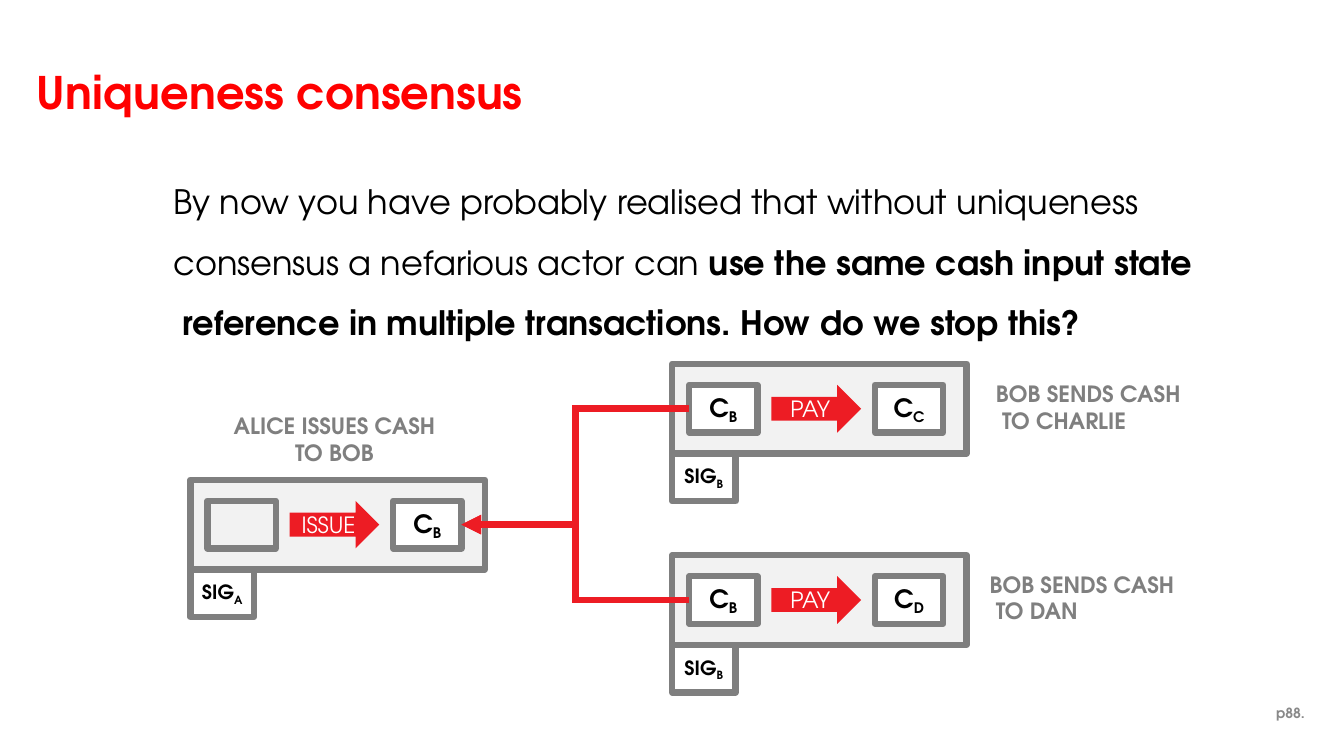
from pptx import Presentation
from pptx import util as u
from pptx.dml.color import RGBColor
from pptx.enum import shapes, text
from pptx.oxml.ns import qn
from lxml import etree

FONT = "TeX Gyre Adventor"
COLORS = {
    "title": "FF0000", "ink": "000000", "grey": "7F7F7F", "page": "898989",
    "panel": "F2F2F2", "white": "FFFFFF", "red": "ED1C24",
}
TITLE = "Uniqueness consensus"
PAGE = "p88."
BODY = [
    ("By now you have probably realised that without uniqueness\v"
     "consensus a nefarious actor can ", False),
    ("use the same cash input state\v reference in multiple transactions. "
     "How do we stop this?", True),
]
TRANSACTIONS = [
    {"at": (4.8, 12.09), "input": None, "action": "ISSUE", "output": "B", "signer": "A"},
    {"at": (16.94, 9.17), "input": "B", "action": "PAY", "output": "C", "signer": "B"},
    {"at": (16.94, 13.99), "input": "B", "action": "PAY", "output": "D", "signer": "B"},
]
CAPTIONS = [
    ("ALICE ISSUES CASH\vTO BOB", (5.84, 10.39, 5.18, 1.42), "CENTER"),
    ("BOB SENDS CASH\v TO CHARLIE", (25.1, 9.58, 5.2, 1.42), "LEFT"),
    ("BOB SENDS CASH\v TO DAN", (24.94, 14.38, 5.2, 1.42), "LEFT"),
]
PANEL_W, PANEL_H = 7.42, 2.26
STATE_W, STATE_H = 1.72, 1.2
INPUT_X, ARROW_X, OUTPUT_X, ROW_Y = 0.43, 2.5, 5.11, 0.53
ARROW_W, SIG_W = 2.26, 1.6


def rgb(name):
    return RGBColor.from_string(COLORS[name])


def write(sp, runs, size, color="ink", bold=True, align="LEFT", anchor="TOP",
          wrap=True, spacing=None):
    """Fill a shape with runs given as (text, bold) or (text, bold, baseline)."""
    tf = sp.text_frame
    tf.word_wrap = wrap
    tf.margin_left = tf.margin_right = tf.margin_top = tf.margin_bottom = 0
    tf.vertical_anchor = getattr(text.MSO_ANCHOR, anchor)
    p = tf.paragraphs[0]
    p.alignment = getattr(text.PP_ALIGN, align)
    if spacing:
        p.line_spacing = spacing
    if isinstance(runs, str):
        runs = [(runs, bold)]
    for words, heavy, *base in runs:
        for i, line in enumerate(words.split("\v")):
            if i:
                p.add_line_break()
            r = p.add_run()
            r.text = line
            r.font.name, r.font.size, r.font.bold = FONT, u.Pt(size), heavy
            r.font.color.rgb = rgb(color)
            if base:
                r._r.get_or_add_rPr().set("baseline", str(base[0] * 1000))


def label(slide, runs, box, size, **fmt):
    write(slide.shapes.add_textbox(*map(u.Cm, box)), runs, size, **fmt)


def block(slide, box, fill=None, line="grey", kind="RECTANGLE"):
    sp = slide.shapes.add_shape(getattr(shapes.MSO_SHAPE, kind), *map(u.Cm, box))
    sp.shadow.inherit = False
    if fill:
        sp.fill.solid()
        sp.fill.fore_color.rgb = rgb(fill)
    else:
        sp.fill.background()
    if line:
        sp.line.color.rgb = rgb(line)
        sp.line.width = u.Pt(4.5)
    else:
        sp.line.fill.background()
    return sp


def state(slide, x, y, owner):
    sp = block(slide, (x, y, STATE_W, STATE_H), "white" if owner else None)
    if owner:
        write(sp, [("C", True), (owner, True, -21)], 18, align="CENTER", anchor="MIDDLE")


def transaction(slide, tx):
    x, y = tx["at"]
    block(slide, (x, y, PANEL_W, PANEL_H), "panel")
    state(slide, x + INPUT_X, y + ROW_Y, tx["input"])
    sp = block(slide, (x + ARROW_X, y + ROW_Y, ARROW_W, STATE_H), "red", None, "RIGHT_ARROW")
    write(sp, tx["action"], 16, color="white", bold=False, align="CENTER",
          anchor="MIDDLE", wrap=False)
    state(slide, x + OUTPUT_X, y + ROW_Y, tx["output"])
    sig = block(slide, (x, y + PANEL_H, SIG_W, STATE_H), "white")
    write(sig, [("SIG", True), (tx["signer"], True, -22)], 14, align="CENTER",
          anchor="MIDDLE", wrap=False)


def spend(slide, source, target):
    mid = ROW_Y + STATE_H / 2
    start = source["at"][0] + INPUT_X, source["at"][1] + mid
    end = target["at"][0] + OUTPUT_X + STATE_W, target["at"][1] + mid
    c = slide.shapes.add_connector(shapes.MSO_CONNECTOR.ELBOW, *map(u.Cm, start + end))
    c.line.color.rgb = rgb("red")
    c.line.width = u.Pt(4.7)
    ln = c.line._get_or_add_ln()
    etree.SubElement(ln, qn("a:miter"), lim="800000")
    etree.SubElement(ln, qn("a:tailEnd"), type="triangle")
    etree.SubElement(c._element.spPr, qn("a:effectLst"))


def main():
    prs = Presentation()
    prs.slide_width, prs.slide_height = u.Cm(33.87), u.Cm(19.05)
    slide = prs.slides.add_slide(prs.slide_layouts[6])
    label(slide, TITLE, (0.93, 1.62, 14, 1.42), 32, color="title")
    label(slide, BODY, (4.37, 4.06, 27, 5), 24, spacing=1.5)
    label(slide, PAGE, (32.16, 17.75, 1.2, 0.5), 10, color="page")
    for tx in TRANSACTIONS:
        transaction(slide, tx)
    issue, *payments = TRANSACTIONS
    for payment in payments:
        spend(slide, payment, issue)
    for words, box, align in CAPTIONS:
        label(slide, words, box, 16, color="grey", align=align)
    prs.save("out.pptx")


if __name__ == "__main__":
    main()
